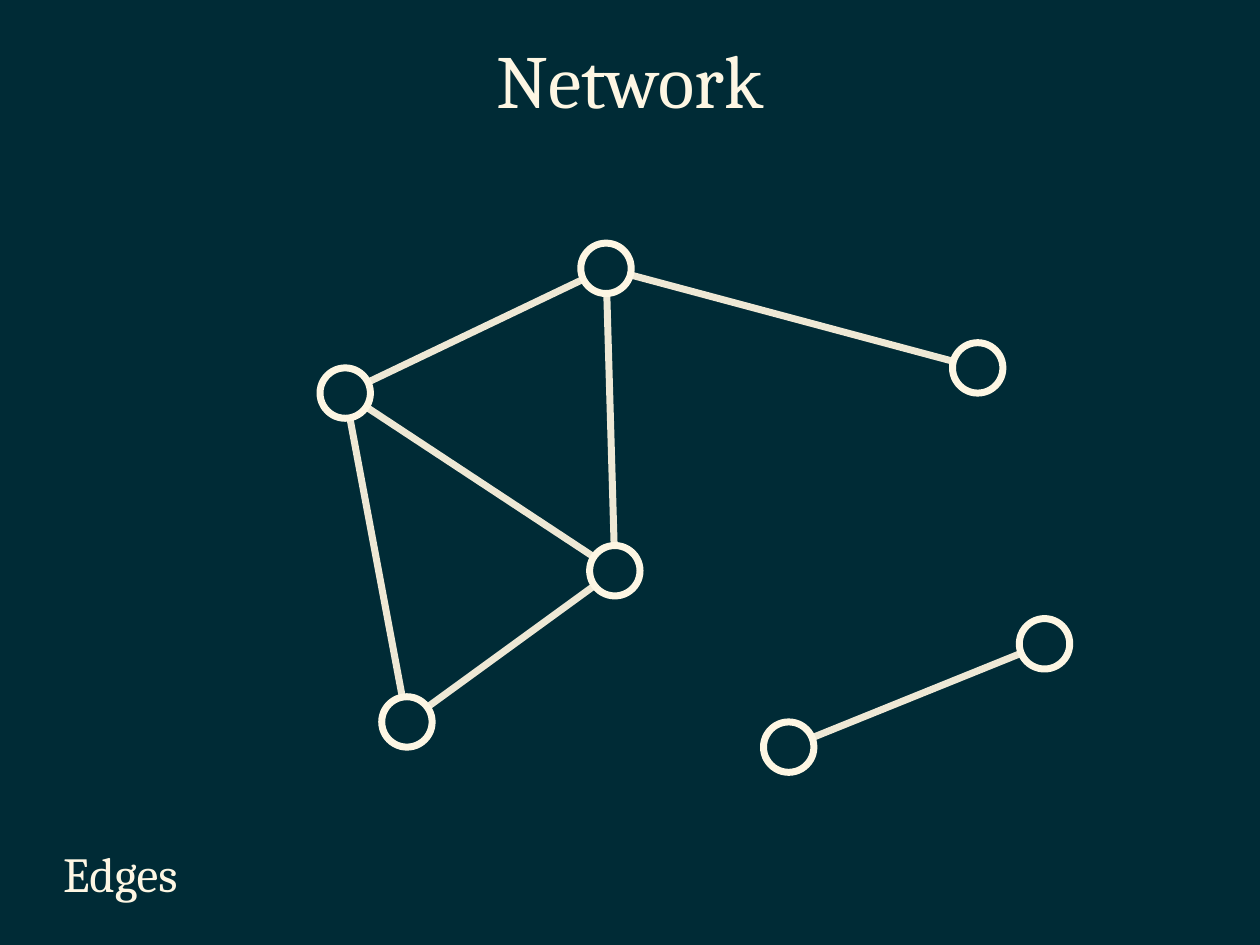
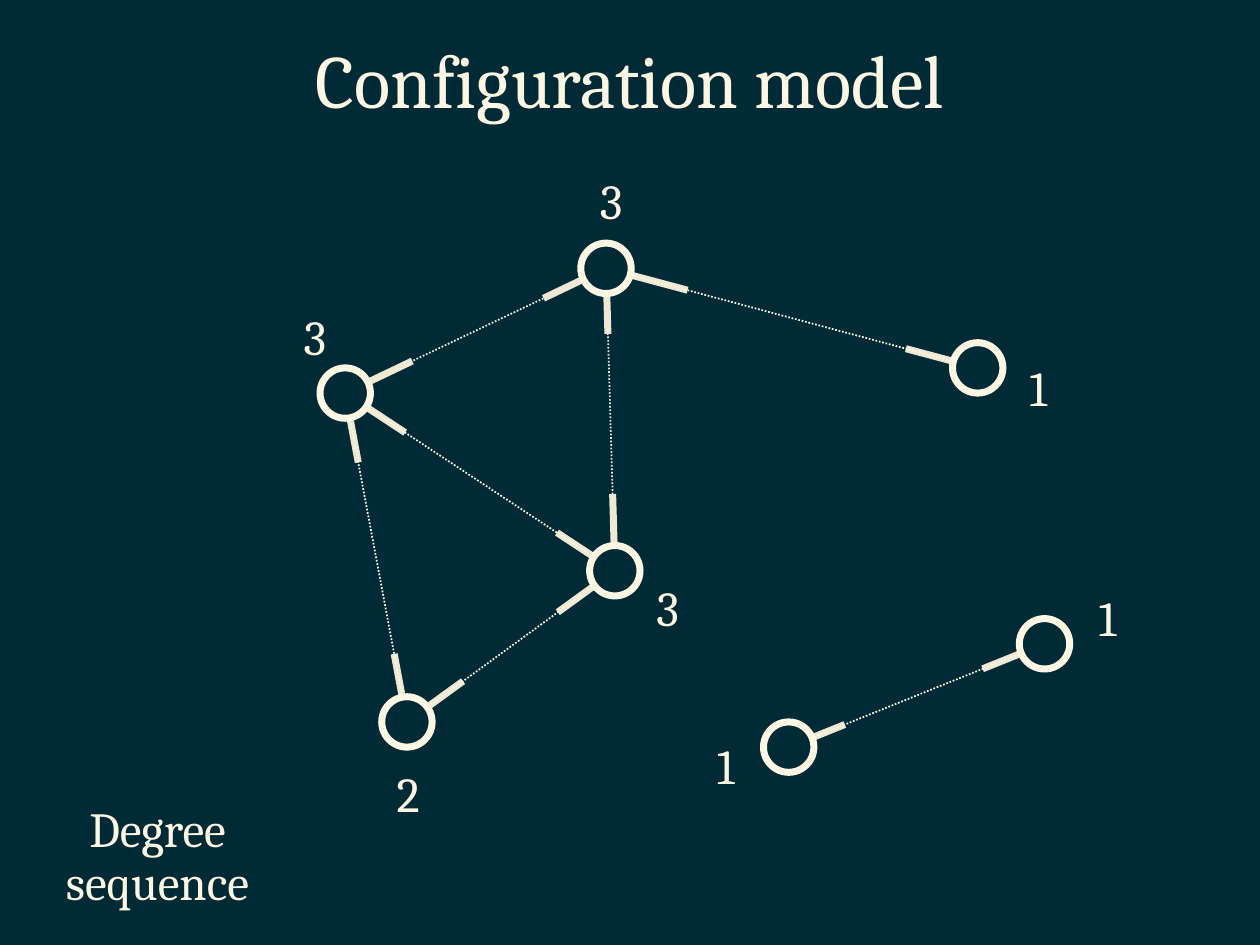
"""Build two slides on networks and the configuration model."""
from dataclasses import dataclass
from math import dist

from lxml.etree import SubElement
from pptx import Presentation
from pptx.dml.color import RGBColor
from pptx.enum.dml import MSO_LINE
from pptx.enum.shapes import MSO_CONNECTOR, MSO_SHAPE
from pptx.enum.text import MSO_ANCHOR, PP_ALIGN
from pptx.oxml.ns import qn
from pptx.presentation import Presentation as Deck
from pptx.slide import Slide
from pptx.util import Inches, Pt

Point = tuple[float, float]


@dataclass(frozen=True)
class Theme:
    """Colours, font and sizes shared by the slides."""
    background: RGBColor = RGBColor(0x00, 0x2B, 0x36)
    ink: RGBColor = RGBColor(0xFD, 0xF6, 0xE3)
    edge: RGBColor = RGBColor(0xEE, 0xE8, 0xD5)
    font: str = "Cambria"
    title_size: float = 42.9
    label_size: float = 28
    thick: float = 4
    thin: float = 1
    node_size: float = 0.4


THEME = Theme()


@dataclass(frozen=True)
class Node:
    """A node's centre and the offset from it to its degree label."""
    center: Point
    label_offset: Point


@dataclass(frozen=True)
class Edge:
    """Two joined nodes, with the length and outer reach of their stubs."""
    start: str
    end: str
    stub: float
    start_reach: float
    end_reach: float
    dot_color: RGBColor = THEME.ink


NODES = {
    "middle": Node((4.88, 4.53), (0.42, 0.38)),
    "right": Node((8.29, 5.11), (0.5, -0.12)),
    "top": Node((4.81, 2.13), (0.04, -0.45)),
    "far": Node((7.76, 2.92), (0.48, 0.24)),
    "lower": Node((6.26, 5.93), (-0.5, 0.23)),
    "bottom": Node((3.23, 5.73), (0.01, 0.65)),
    "left": Node((2.74, 3.12), (-0.24, -0.36)),
}

EDGES = (
    Edge("right", "lower", 0.53, 0.53, 0.48),
    Edge("bottom", "left", 0.51, 0.55, 0.56),
    Edge("middle", "bottom", 0.45, 0.56, 0.55),
    Edge("far", "top", 0.55, 0.59, 0.67),
    Edge("top", "left", 0.55, 0.55, 0.59, THEME.edge),
    Edge("middle", "top", 0.5, 0.61, 0.52, THEME.edge),
    Edge("middle", "left", 0.45, 0.55, 0.57),
)


def add_text(page: Slide, text: str, left: float, top: float, width: float,
             height: float, *, size: float = THEME.label_size,
             anchor: MSO_ANCHOR = MSO_ANCHOR.TOP, space_before: float = 10) -> None:
    """Add a centred text box."""
    box = page.shapes.add_textbox(Inches(left), Inches(top), Inches(width), Inches(height))
    frame = box.text_frame
    frame.word_wrap = True
    frame.vertical_anchor = anchor
    para = frame.paragraphs[0]
    para.alignment = PP_ALIGN.CENTER
    para.line_spacing = 0.9
    para.space_before = Pt(space_before)
    span = para.add_run()
    span.text = text
    span.font.name = THEME.font
    span.font.size = Pt(size)
    span.font.color.rgb = THEME.ink


def add_line(page: Slide, start: Point, end: Point, *, color: RGBColor = THEME.edge,
             width: float = THEME.thick, dash: MSO_LINE | None = None) -> None:
    """Add a straight line without a shadow."""
    line = page.shapes.add_connector(
        MSO_CONNECTOR.STRAIGHT, *(Inches(value) for value in (*start, *end)))
    line.line.color.rgb = color
    line.line.width = Pt(width)
    if dash is not None:
        line.line.dash_style = dash
    SubElement(line._element.spPr, qn("a:effectLst"))


def point_along(start: Point, end: Point, distance: float) -> Point:
    """Return the point at a distance from start towards end."""
    share = distance / dist(start, end)
    return (start[0] + share * (end[0] - start[0]), start[1] + share * (end[1] - start[1]))


def add_stub(page: Slide, start: Point, end: Point, length: float, reach: float) -> None:
    """Add the short thick part of an edge next to its start node."""
    add_line(page, point_along(start, end, reach - length), point_along(start, end, reach))


def add_nodes(page: Slide) -> None:
    """Add the ring of every node."""
    size = THEME.node_size
    for node in NODES.values():
        x, y = node.center
        ring = page.shapes.add_shape(MSO_SHAPE.OVAL, Inches(x - size / 2),
                                     Inches(y - size / 2), Inches(size), Inches(size))
        ring.shadow.inherit = False
        ring.fill.solid()
        ring.fill.fore_color.rgb = THEME.background
        ring.line.color.rgb = THEME.ink
        ring.line.width = Pt(THEME.thick)


def add_degrees(page: Slide, width: float = 0.74, height: float = 0.64) -> None:
    """Label every node with its number of edges."""
    for name, node in NODES.items():
        degree = sum(name in (edge.start, edge.end) for edge in EDGES)
        x = node.center[0] + node.label_offset[0]
        y = node.center[1] + node.label_offset[1]
        add_text(page, str(degree), x - width / 2, y - height / 2, width, height)


def add_page(deck: Deck, title: str) -> Slide:
    """Add a blank page with the shared background and title."""
    page = deck.slides.add_slide(deck.slide_layouts[6])
    page.background.fill.solid()
    page.background.fill.fore_color.rgb = THEME.background
    add_text(page, title, 0.61, 0.22, 8.78, 0.9, size=THEME.title_size,
             anchor=MSO_ANCHOR.MIDDLE, space_before=0)
    return page


def build_network(deck: Deck) -> None:
    """Build the slide that shows whole edges."""
    page = add_page(deck, "Network")
    for edge in EDGES:
        add_line(page, NODES[edge.start].center, NODES[edge.end].center)
    add_nodes(page)
    add_text(page, "Edges", -1.12, 6.7, 4.15, 0.73)


def build_configuration(deck: Deck) -> None:
    """Build the slide that shows stubs and degrees."""
    page = add_page(deck, "Configuration model")
    for edge in EDGES:
        start, end = NODES[edge.start].center, NODES[edge.end].center
        add_stub(page, start, end, edge.stub, edge.start_reach)
        add_stub(page, end, start, edge.stub, edge.end_reach)
        add_line(page, start, end, color=edge.dot_color, width=THEME.thin,
                 dash=MSO_LINE.ROUND_DOT)
    add_nodes(page)
    add_degrees(page)
    add_text(page, "Degree sequence", -0.1, 6.34, 2.7, 1.02)


def main() -> None:
    """Build and save the deck."""
    deck = Presentation()
    deck.slide_width, deck.slide_height = Inches(10), Inches(7.5)
    build_network(deck)
    build_configuration(deck)
    deck.save("out.pptx")


if __name__ == "__main__":
    main()
